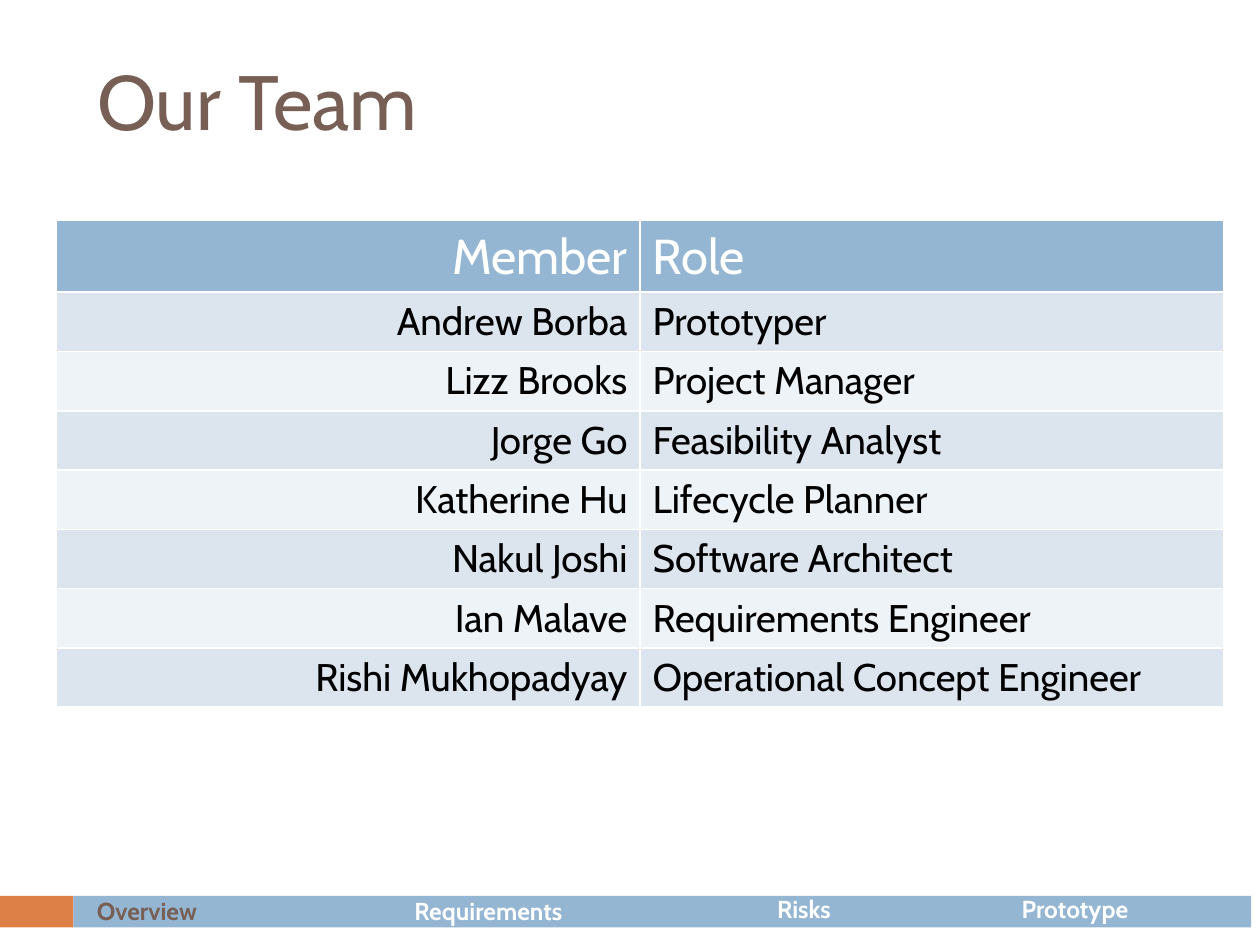
import pptx
import pptx.dml.color
import pptx.enum.shapes
import pptx.enum.text
import pptx.oxml
import pptx.oxml.ns
import pptx.util

Pt = pptx.util.Pt
ALIGN = pptx.enum.text.PP_ALIGN
ANCHOR = pptx.enum.text.MSO_ANCHOR

BLUE, ORANGE, BROWN = "94B6D2", "DD8047", "775F55"
WHITE, BLACK = "FFFFFF", "000000"
BANDS = ["DCE5EE", "EEF3F7"]

TEAM = [
    ("Member", "Role"),
    ("Andrew Borba", "Prototyper"),
    ("Lizz Brooks", "Project Manager"),
    ("Jorge Go", "Feasibility Analyst"),
    ("Katherine Hu", "Lifecycle Planner"),
    ("Nakul Joshi", "Software Architect"),
    ("Ian Malave", "Requirements Engineer"),
    ("Rishi Mukhopadyay", "Operational Concept Engineer"),
]
SECTIONS = [
    ("Overview", 48.24, 508.3, BROWN),
    ("Requirements", 229.7, 508.3, WHITE),
    ("Risks", 437, 507.6, WHITE),
    ("Prototype", 576.7, 507.6, WHITE),
]


def rgb(value):
    return pptx.dml.color.RGBColor.from_string(value)


def write(tf, text, size, color, font="Cabin", bold=False, align=ALIGN.LEFT):
    p = tf.paragraphs[0]
    p.alignment = align
    r = p.add_run()
    r.text = text
    r.font.name = font
    r.font.size = Pt(size)
    r.font.bold = bold
    r.font.color.rgb = rgb(color)


def set_borders(cell, color, width):
    tcPr = cell._tc.get_or_add_tcPr()
    for side in ("lnL", "lnR", "lnT", "lnB"):
        tcPr.append(pptx.oxml.parse_xml(
            f'<a:{side} {pptx.oxml.ns.nsdecls("a")} w="{Pt(width)}">'
            f'<a:solidFill><a:srgbClr val="{color}"/></a:solidFill></a:{side}>'))


class SlideBuilder:
    def __init__(self, slide, font="Cabin"):
        self.slide = slide
        self.font = font

    def title(self, text, x, y, w, h):
        sp = self.slide.shapes.title
        sp.left, sp.top, sp.width, sp.height = Pt(x), Pt(y), Pt(w), Pt(h)
        tf = sp.text_frame
        tf.auto_size = pptx.enum.text.MSO_AUTO_SIZE.NONE
        tf.vertical_anchor = ANCHOR.MIDDLE
        write(tf, text, 44, BROWN, font=self.font)

    def bar(self, x, y, w, h, color):
        sp = self.slide.shapes.add_shape(
            pptx.enum.shapes.MSO_SHAPE.RECTANGLE, Pt(x), Pt(y), Pt(w), Pt(h))
        sp.shadow.inherit = False
        sp.fill.solid()
        sp.fill.fore_color.rgb = rgb(color)
        sp.line.fill.background()

    def label(self, text, x, y, w, h, color):
        tf = self.slide.shapes.add_textbox(Pt(x), Pt(y), Pt(w), Pt(h)).text_frame
        tf.word_wrap = True
        write(tf, text, 14, color, font=self.font, bold=True)

    def table(self, rows, x, y, w, header_h, row_h):
        """First row is the header; the first column is right-aligned."""
        h = header_h + row_h * (len(rows) - 1)
        table = self.slide.shapes.add_table(
            len(rows), len(rows[0]), Pt(x), Pt(y), Pt(w), Pt(h)).table
        for i, row in enumerate(rows):
            header = i == 0
            table.rows[i].height = Pt(header_h if header else row_h)
            for j, text in enumerate(row):
                cell = table.cell(i, j)
                set_borders(cell, WHITE, 1)
                cell.fill.solid()
                cell.fill.fore_color.rgb = rgb(BLUE if header else BANDS[(i - 1) % 2])
                write(cell.text_frame, text, 28 if header else 22,
                      WHITE if header else BLACK, font=self.font,
                      align=ALIGN.RIGHT if j == 0 else ALIGN.LEFT)


def main():
    prs = pptx.Presentation()
    prs.slide_width, prs.slide_height = Pt(720), Pt(540)
    s = SlideBuilder(prs.slides.add_slide(prs.slide_layouts[5]))

    s.bar(0, 512, 42, 18, ORANGE)
    s.bar(42, 512, 673, 18, BLUE)
    for text, x, y, color in SECTIONS:
        s.label(text, x, y, 113, 24.5, color)

    s.title("Our Team", 48.24, 18, 642, 78)
    s.table(TEAM, 32, 126, 667.5, header_h=41, row_h=33.9)
    prs.save("out.pptx")


if __name__ == "__main__":
    main()
